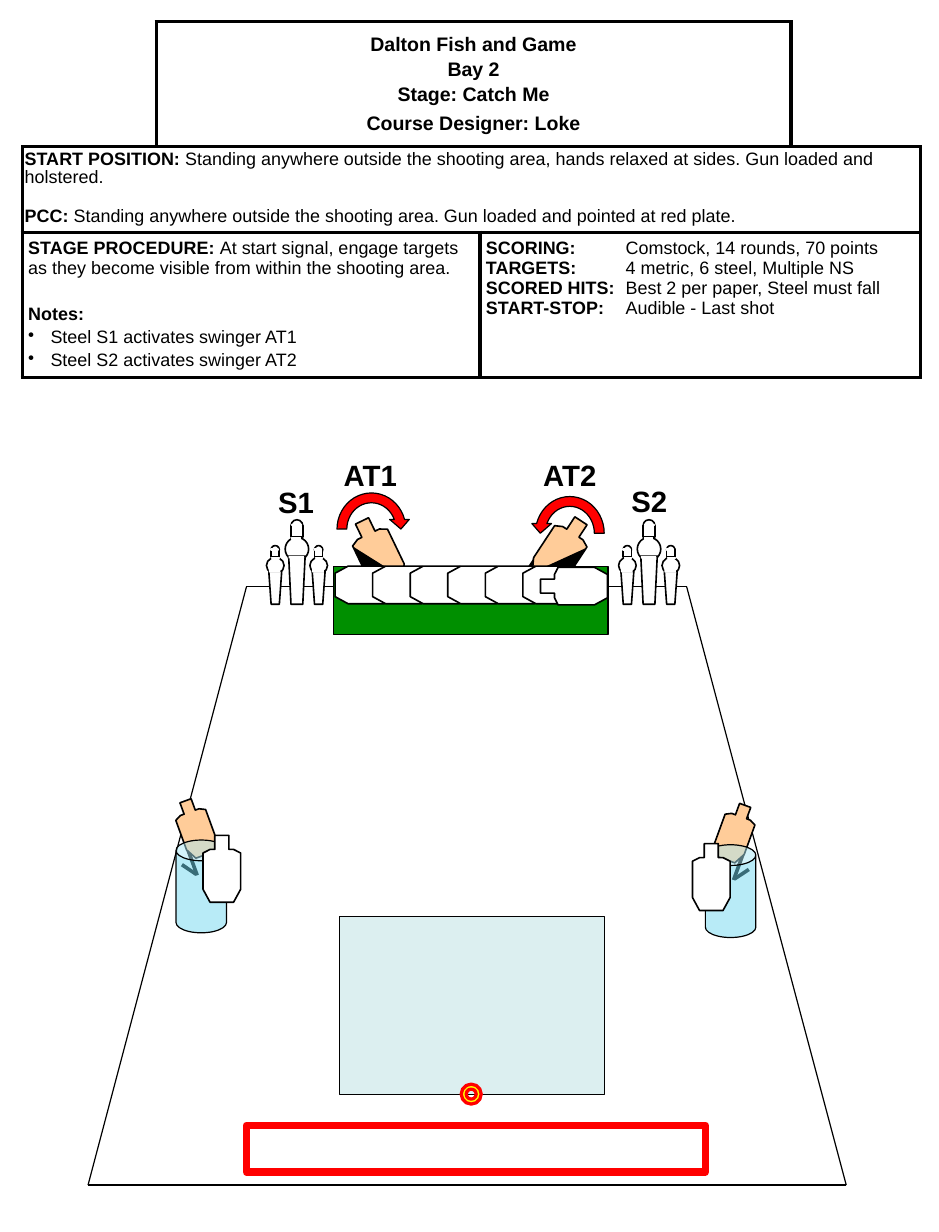
from lxml import etree
from pptx import Presentation
from pptx.dml.color import RGBColor
from pptx.enum.shapes import MSO_CONNECTOR, MSO_SHAPE
from pptx.enum.text import MSO_ANCHOR, PP_ALIGN
from pptx.oxml.ns import qn
from pptx.util import Pt

PX = 9144  # 100 px to the inch
RECT, OVAL, CAN = MSO_SHAPE.RECTANGLE, MSO_SHAPE.OVAL, MSO_SHAPE.CAN
ARROW, DONUT = MSO_SHAPE.CIRCULAR_ARROW, MSO_SHAPE.DONUT
STRAIGHT = MSO_CONNECTOR.STRAIGHT
CENTER, MIDDLE = PP_ALIGN.CENTER, MSO_ANCHOR.MIDDLE
BLACK, WHITE, RED, TAN = "000000", "FFFFFF", "FF0000", "FFCC99"
color = RGBColor.from_string

deck = Presentation()
deck.slide_width, deck.slide_height = 800 * PX, 1050 * PX
slide = deck.slides.add_slide(deck.slide_layouts[6])
shapes = slide.shapes


def draw(kind, x, y, w, h, fill=WHITE, edge=BLACK, width=0.75, turn=0, alpha=None):
    """Add a preset shape, or the outline through a list of points stretched to w by h."""
    if isinstance(kind, list):
        wide, high = max(p[0] for p in kind), max(p[1] for p in kind)
        spots = [(round((x + px * w / wide) * PX), round((y + py * h / high) * PX))
                 for px, py in kind]
        pen = shapes.build_freeform(*spots[0], scale=1.0)
        pen.add_line_segments(spots[1:], close=True)
        shape = pen.convert_to_shape()
    else:
        shape = shapes.add_shape(kind, x * PX, y * PX, w * PX, h * PX)
    shape.shadow.inherit = False
    shape.rotation = turn
    if fill:
        shape.fill.solid()
        shape.fill.fore_color.rgb = color(fill)
        if alpha:
            tint = shape.fill._xPr.find(qn("a:solidFill"))[0]
            etree.SubElement(tint, qn("a:alpha")).set("val", str(alpha * 1000))
    else:
        shape.fill.background()
    if edge:
        shape.line.color.rgb = color(edge)
        shape.line.width = Pt(width)
    else:
        shape.line.fill.background()
    return shape


def rule(x1, y1, x2, y2, width=2.25):
    """Add a straight black line."""
    line = shapes.add_connector(STRAIGHT, x1 * PX, y1 * PX, x2 * PX, y2 * PX)
    line.line.color.rgb = color(BLACK)
    line.line.width = Pt(width)
    etree.SubElement(line._element.spPr, qn("a:effectLst"))


# Bay walls and start line
for ends in [(210, 500, 585, 500), (75, 1010, 721, 1010),
             (210, 500, 75, 1010), (585, 500, 721, 1010)]:
    rule(*ends, 0.75)
draw(RECT, 210, 959, 391, 40, None, RED, 4.5)

# Swingers behind the wall
target = [(10, 0), (22, 0), (22, 12), (26, 12), (32, 15), (32, 46),
          (26, 57), (6, 57), (0, 46), (0, 15), (6, 12), (10, 12)]
wedge = [(0, 0), (0, 31), (6, 43), (27, 43)]
flipped = [(27 - x, y) for x, y in wedge]
for pole, x, y, turn, dark in [((341, 478, 361, 519), 305, 441, 334.3, wedge),
                               ((459, 472, 433, 511), 462, 439, 33.3, flipped)]:
    rule(*pole)
    draw(target, x, y, 33, 60, TAN, BLACK, 1, turn)
    draw(dark, x + (4 if dark is wedge else 1), y + 17, 27, 43, BLACK, None, turn=turn)

draw(RECT, 284, 483, 234, 58, "008F00")
draw(ARROW, 283, 416, 67, 70, RED)
mirror = draw(ARROW, 452, 419, 67, 71, RED)
mirror._element.spPr.find(qn("a:xfrm")).set("flipH", "1")

# Side targets on stands, the left one mirrored from the right
legs = [(610, 720, 602, 742), (633, 728, 625, 750)]
feet = [(638, 741, 626, 749), (612, 735, 602, 741)]
for x, y, turn, left in [(613, 685, 20, False), (153, 681, 340, True)]:
    stand = legs + feet
    if left:
        stand = [(793 - a, b - 4, 793 - c, d - 4) for a, b, c, d in stand]
    for leg in stand[:2]:
        rule(*leg)
    draw(target, x, y, 27, 49, TAN, BLACK, 1, turn)
    for foot in stand[2:]:
        rule(*foot)
for x, y in [(150, 716), (601, 720)]:
    barrel = draw(CAN, x, y, 43, 79, "73D9F1", alpha=50)
    barrel.adjustments[0] = 0.41

# Stage sheet: each line is (space before, [(text, bold), ...])
frame = shapes.add_table(3, 4, 19 * PX, 18 * PX, 765 * PX, 304 * PX)
table = frame.table
table.first_row = table.horz_banding = False
for col, wide in zip(table.columns, [114, 276, 265, 110]):
    col.width = wide * PX
for row, high in zip(table.rows, [107, 73, 124]):
    row.height = high * PX
sides = {(0, 0): "RB", (0, 3): "LB"}
for r in range(3):
    for c in range(4):
        cell = table.cell(r, c)
        props = cell._tc.get_or_add_tcPr()
        for side in sides.get((r, c), "LRTB"):
            edge = etree.SubElement(props, qn("a:ln" + side), w=str(Pt(2.25)))
            ink = etree.SubElement(edge, qn("a:solidFill"))
            etree.SubElement(ink, qn("a:srgbClr"), val=BLACK)
        cell.fill.solid()
        cell.fill.fore_color.rgb = color(WHITE)
for r, first, last in [(0, 1, 2), (1, 0, 3), (2, 0, 1), (2, 2, 3)]:
    table.cell(r, first).merge(table.cell(r, last))

heading = [(0, [("Dalton Fish and Game", True)]), (2, [("Bay 2", True)]),
           (2, [("Stage: Catch Me", True)]), (4, [("Course Designer: Loke", True)])]
start = [(0, [("START POSITION:", True),
              (" Standing anywhere outside the shooting area, hands relaxed at sides. "
               "Gun loaded and holstered.", False)]),
         (13, [("PCC: ", True),
               ("Standing anywhere outside the shooting area. "
                "Gun loaded and pointed at red plate.", False)])]
plan = [(0, [("STAGE PROCEDURE: ", True),
             ("At start signal, engage targets as they become visible "
              "from within the shooting area.", False)]),
        (16, [("Notes:", True)]),
        (2, [("Steel S1 activates swinger AT1", False)]),
        (2, [("Steel S2 activates swinger AT2", False)])]
score = [(0, [(name, True), ("\t" + value, False)]) for name, value in [
    ("SCORING:", "Comstock, 14 rounds, 70 points"),
    ("TARGETS:", "4 metric, 6 steel, Multiple NS"),
    ("SCORED HITS:", "Best 2 per paper, Steel must fall"),
    ("START-STOP:", "Audible - Last shot")]]
for r, c, lines, size, inset in [(0, 1, heading, 12, (5, 5)), (1, 0, start, 11, (2, 4)),
                                 (2, 0, plan, 11, (5, 5)), (2, 2, score, 11, (5, 5))]:
    cell = table.cell(r, c)
    cell.margin_left = cell.margin_right = inset[0] * PX
    cell.margin_top = cell.margin_bottom = inset[1] * PX
    if lines is heading:
        cell.vertical_anchor = MIDDLE
    for i, (gap, runs) in enumerate(lines):
        para = cell.text_frame.add_paragraph() if i else cell.text_frame.paragraphs[0]
        para.space_before = Pt(gap)
        if lines is heading:
            para.alignment = CENTER
        if lines is start:
            para.line_spacing = 0.9
        props = para._p.get_or_add_pPr()
        if lines is plan and i > 1:
            props.set("marL", str(19 * PX))
            props.set("indent", str(-19 * PX))
            etree.SubElement(props, qn("a:buChar"), char="•")
        if lines is score:
            tabs = etree.SubElement(props, qn("a:tabLst"))
            etree.SubElement(tabs, qn("a:tab"), pos=str(119 * PX), algn="l")
        para.font.name, para.font.size = "Arial", Pt(size)
        para.font.color.rgb = color(BLACK)
        for text, bold in runs:
            run = para.add_run()
            run.text, run.font.bold = text, bold

# Steel poppers: parts are (kind, dx, y, w, h, edge)
small = [(OVAL, 4, 465, 7, 7, BLACK), (OVAL, 0, 475, 15, 14, BLACK),
         ([(0, 0), (11, 0), (9, 28), (2, 28)], 2, 487, 11, 28, BLACK),
         (RECT, 4, 468, 7, 7, BLACK), (RECT, 2, 485, 10, 3, None),
         (RECT, 5, 475, 6, 1, WHITE), (RECT, 4, 468, 6, 1, WHITE)]
large = [(OVAL, 5, 443, 10, 10, BLACK), (OVAL, 0, 458, 20, 20, BLACK),
         ([(0, 0), (14, 0), (12, 41), (2, 41)], 3, 474, 14, 41, BLACK),
         (RECT, 5, 448, 10, 10, BLACK), (RECT, 3, 474, 13, 2, None),
         (RECT, 6, 458, 7, 2, WHITE), (RECT, 6, 447, 8, 1, WHITE)]
for left in (227, 527):
    for step, parts in [(37, small), (16, large), (0, small)]:
        for kind, dx, y, w, h, edge in parts:
            draw(kind, left + step + dx, y, w, h, WHITE, edge, 1)

# Shooting area
draw([(0, 0), (226, 0), (226, 152), (0, 152)], 289, 781, 226, 152, "BBE0E3", alpha=50)

for text, x, y, w in [("S1", 227, 408, 59), ("S2", 528, 407, 59),
                      ("AT1", 283, 385, 71), ("AT2", 453, 385, 67)]:
    label = shapes.add_textbox(x * PX, y * PX, w * PX, 40 * PX).text_frame
    label.word_wrap = True
    para = label.paragraphs[0]
    para.text = text
    para.font.name, para.font.size, para.font.bold = "Arial", Pt(18), True
    para.font.color.rgb = color(BLACK)

# White no-shoot targets
for i in range(6):
    draw(target, 298 + 32 * i, 470, 32, 57, width=1, turn=90)
for x, y, turn in [(473, 471, 270), (590, 719, 0), (173, 712, 0)]:
    draw(target, x, y, 32, 57, width=1, turn=turn)

draw(DONUT, 393, 924, 17, 17, "FFFF00", RED, 2)

deck.save("out.pptx")
